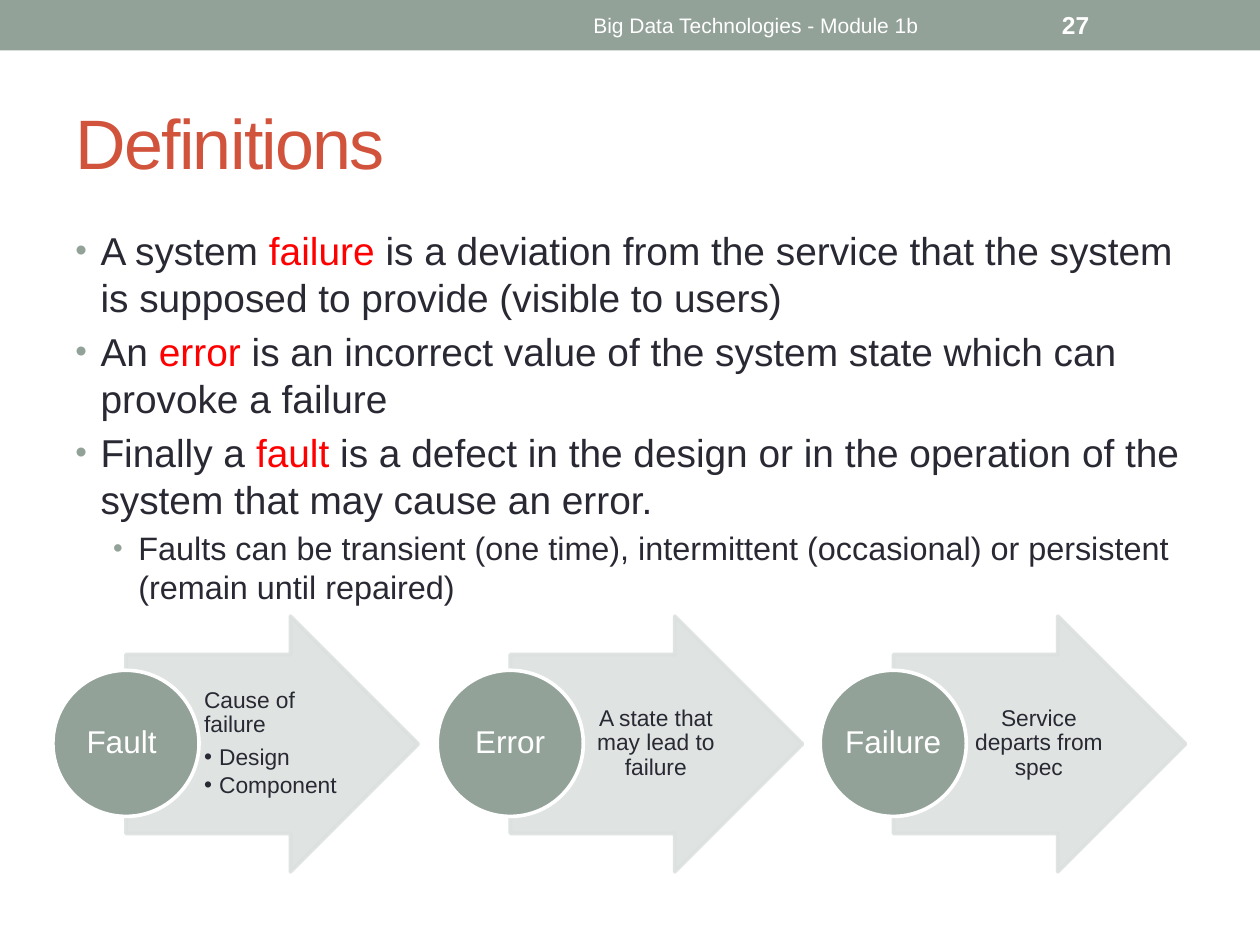
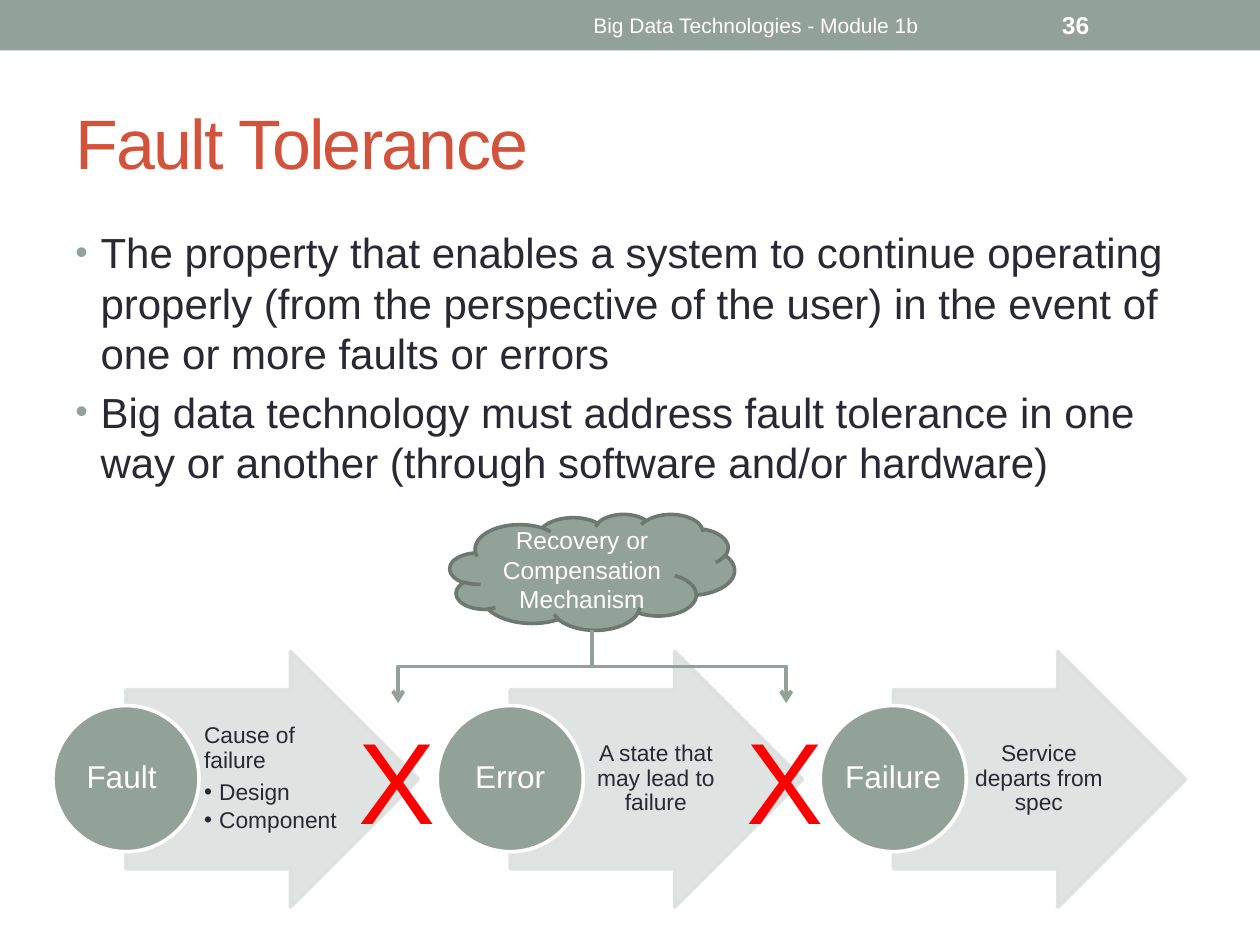
"""Builds two slides on faults, errors and failures with a shared process diagram."""
from lxml import etree
from pptx import Presentation
from pptx import util as u
from pptx.dml.color import RGBColor
from pptx.enum import shapes, text
from pptx.oxml.ns import qn

PX = u.Inches(1) // 100
FONT = "Arial"
SAGE = RGBColor(0x93, 0xA2, 0x99)
DARK_SAGE = RGBColor(0x6D, 0x78, 0x71)
PALE = RGBColor(0xDC, 0xE0, 0xDE)
RUST = RGBColor(0xD2, 0x53, 0x3C)
INK = RGBColor(0x29, 0x29, 0x34)
RED = RGBColor(0xFF, 0x00, 0x00)
WHITE = RGBColor(0xFF, 0xFF, 0xFF)
CENTER, LEFT = text.PP_ALIGN.CENTER, text.PP_ALIGN.LEFT
MIDDLE, TOP = text.MSO_ANCHOR.MIDDLE, text.MSO_ANCHOR.TOP

FOOTER = "Big Data Technologies - Module 1b"
STAGES = [
    ("Fault ", "Cause of failure", ["Design", "Component"]),
    ("Error", "A state that may lead to failure", []),
    ("Failure", "Service departs from spec", []),
]
MECHANISM = "Recovery or Compensation Mechanism"
SLIDES = [
    {
        "title": "Definitions", "number": "27", "body_height": 283, "diagram_top": 489,
        "body": [
            (0, 22.2, [("A system ", INK), ("failure", RED),
                       (" is a deviation from the service that the system is supposed to provide"
                        " (visible to users)", INK)]),
            (0, 22.2, [("An ", INK), ("error", RED),
                       (" is an incorrect value of the system state which can provoke a failure", INK)]),
            (0, 22.2, [("Finally a ", INK), ("fault", RED),
                       (" is a defect in the design or in the operation of the system that may"
                        " cause an error.", INK)]),
            (1, 18.5, [("Faults can be transient (one time), intermittent (occasional) or persistent"
                        " (remain until repaired)", INK)]),
        ],
    },
    {
        "title": "Fault Tolerance", "number": "36", "body_height": 533, "diagram_top": 517,
        "recovery": True,
        "body": [
            (0, 24, [("The property that enables a system to continue operating properly (from the"
                      " perspective of the user) in the event of one or more faults or errors", INK)]),
            (0, 24, [("Big data technology must address fault tolerance in one way or another"
                      " (through software and/or hardware)", INK)]),
        ],
    },
]


def box(*lengths):
    """Turn px lengths into EMU."""
    return [u.Emu(length * PX) for length in lengths]


def add_run(paragraph, words, size, color, bold=False):
    """Add one formatted run."""
    run = paragraph.add_run()
    run.text = words
    run.font.name, run.font.size, run.font.bold = FONT, u.Pt(size), bold
    run.font.color.rgb = color
    return run


def add_bullet(paragraph, left, hanging, color=None):
    """Give a paragraph a hanging bullet, smaller when coloured."""
    properties = paragraph._p.get_or_add_pPr()
    properties.set("marL", str(left * PX))
    properties.set("indent", str(-hanging * PX))
    if color is not None:
        holder = etree.SubElement(properties, qn("a:buClr"))
        etree.SubElement(holder, qn("a:srgbClr"), val=str(color))
        etree.SubElement(properties, qn("a:buSzPct"), val="85000")
    etree.SubElement(properties, qn("a:buFont"), typeface=FONT)
    etree.SubElement(properties, qn("a:buChar"), char="•")


def set_frame(shape, anchor=MIDDLE, insets=None, wrap=True):
    """Prepare a text frame and return its first paragraph."""
    frame = shape.text_frame
    frame.word_wrap, frame.vertical_anchor = wrap, anchor
    if insets:
        frame.margin_left, frame.margin_top, frame.margin_right, frame.margin_bottom = box(*insets)
    return frame.paragraphs[0]


def add_label(slide, place, words, size, color, align=LEFT, bold=False, **frame):
    """Add a text box holding a single run."""
    paragraph = set_frame(slide.shapes.add_textbox(*box(*place)), **frame)
    paragraph.alignment = align
    add_run(paragraph, words, size, color, bold)


def add_figure(slide, kind, place, fill, line=None, opacity=None):
    """Add a flat preset shape."""
    shape = slide.shapes.add_shape(kind, *box(*place))
    shape.shadow.inherit = False
    shape.fill.solid()
    shape.fill.fore_color.rgb = fill
    if line is None:
        shape.line.fill.background()
    else:
        shape.line.color.rgb = line
        shape.line.width = u.Pt(2.08)
    if opacity:
        for color in shape._element.spPr.iter(qn("a:srgbClr")):
            etree.SubElement(color, qn("a:alpha"), val=str(opacity * 1000))
    return shape


def add_frame(slide, title, number):
    """Add the band, title, footer and slide number."""
    add_figure(slide, shapes.MSO_SHAPE.RECTANGLE, (0, 0, 1000, 40), SAGE)
    heading = slide.shapes.title
    heading.left, heading.top, heading.width, heading.height = box(50, 58, 900, 108)
    paragraph = set_frame(heading)
    heading.text_frame.auto_size = text.MSO_AUTO_SIZE.NONE
    paragraph.alignment = LEFT
    add_run(paragraph, title, 40, RUST).font._element.set("spc", "-100")
    add_label(slide, (375, 2, 450, 36), FOOTER, 12, WHITE, CENTER)
    add_label(slide, (833, 2, 117, 36), number, 14, WHITE, bold=True)


def add_body(slide, height, entries):
    """Add the bulleted body text."""
    body = slide.shapes.add_textbox(*box(50, 175, 900, height))
    paragraph = set_frame(body, TOP)
    for index, (level, size, runs) in enumerate(entries):
        if index:
            paragraph = body.text_frame.add_paragraph()
        paragraph.level = level
        paragraph.space_before = u.Pt(size * 0.2)
        add_bullet(paragraph, 20 + 30 * level, 20, SAGE)
        for words, color in runs:
            add_run(paragraph, words, size, color)


def add_diagram(slide, top):
    """Add the row of stages, each an arrow with a circle at its tail."""
    for index, (name, summary, details) in enumerate(STAGES):
        left = 42 + (609 * index + 1) // 2
        arrow = add_figure(slide, shapes.MSO_SHAPE.RIGHT_ARROW, (left + 58, top, 232, 203),
                           PALE, PALE, opacity=90)
        arrow.adjustments[0], arrow.adjustments[1] = 0.7, 0.5

        note = slide.shapes.add_textbox(*box(left + 116, top + 30, 113, 142))
        paragraph = set_frame(note, insets=(4, 1, 2, 1))
        paragraph.alignment = LEFT if details else CENTER
        paragraph.line_spacing, paragraph.space_after = 0.9, u.Pt(4.55)
        add_run(paragraph, summary, 13, INK)
        for detail in details:
            paragraph = note.text_frame.add_paragraph()
            paragraph.level = 1
            paragraph.line_spacing, paragraph.space_after = 0.9, u.Pt(1.95)
            add_bullet(paragraph, 12, 12)
            add_run(paragraph, detail, 13, INK)

        circle = add_figure(slide, shapes.MSO_SHAPE.OVAL, (left, top + 43, 116, 116), SAGE, WHITE)
        paragraph = set_frame(circle, insets=(1, 1, 1, 1))
        paragraph.alignment = CENTER
        paragraph.line_spacing, paragraph.space_after = 0.9, u.Pt(6.3)
        add_run(paragraph, name, 18, WHITE)


def add_recovery(slide):
    """Add the cloud, its two elbow arrows and the crosses they point at."""
    cloud = add_figure(slide, shapes.MSO_SHAPE.CLOUD, (357, 408, 226, 92), SAGE, DARK_SAGE)
    paragraph = set_frame(cloud)
    paragraph.alignment = CENTER
    add_run(paragraph, MECHANISM, 14, WHITE)
    start, drop, reach = 470, 58, 154
    for side, turn in ((-1, 90), (1, 270)):
        middle_x, middle_y = start + side * reach // 2, 500 + drop // 2
        elbow = slide.shapes.add_connector(
            shapes.MSO_CONNECTOR.ELBOW,
            *box(middle_x + side * drop // 2, middle_y - reach // 2,
                 middle_x - side * drop // 2, middle_y + reach // 2))
        elbow.line.color.rgb, elbow.line.width = SAGE, u.Pt(2.25)
        properties = elbow._element.spPr
        properties.find(qn("a:xfrm")).set("rot", str(turn * 60000))
        etree.SubElement(properties.find(qn("a:ln")), qn("a:tailEnd"), type="arrow")
        etree.SubElement(properties, qn("a:effectLst"))
        add_label(slide, (start + side * reach - 41, 558, 82, 121), "X", 66, RED,
                  anchor=TOP, wrap=False)


def main():
    """Build and save the presentation."""
    presentation = Presentation()
    presentation.slide_width, presentation.slide_height = box(1000, 750)
    for content in SLIDES:
        slide = presentation.slides.add_slide(presentation.slide_layouts[5])
        add_frame(slide, content["title"], content["number"])
        add_body(slide, content["body_height"], content["body"])
        add_diagram(slide, content["diagram_top"])
        if content.get("recovery"):
            add_recovery(slide)
    presentation.save("out.pptx")


if __name__ == "__main__":
    main()
